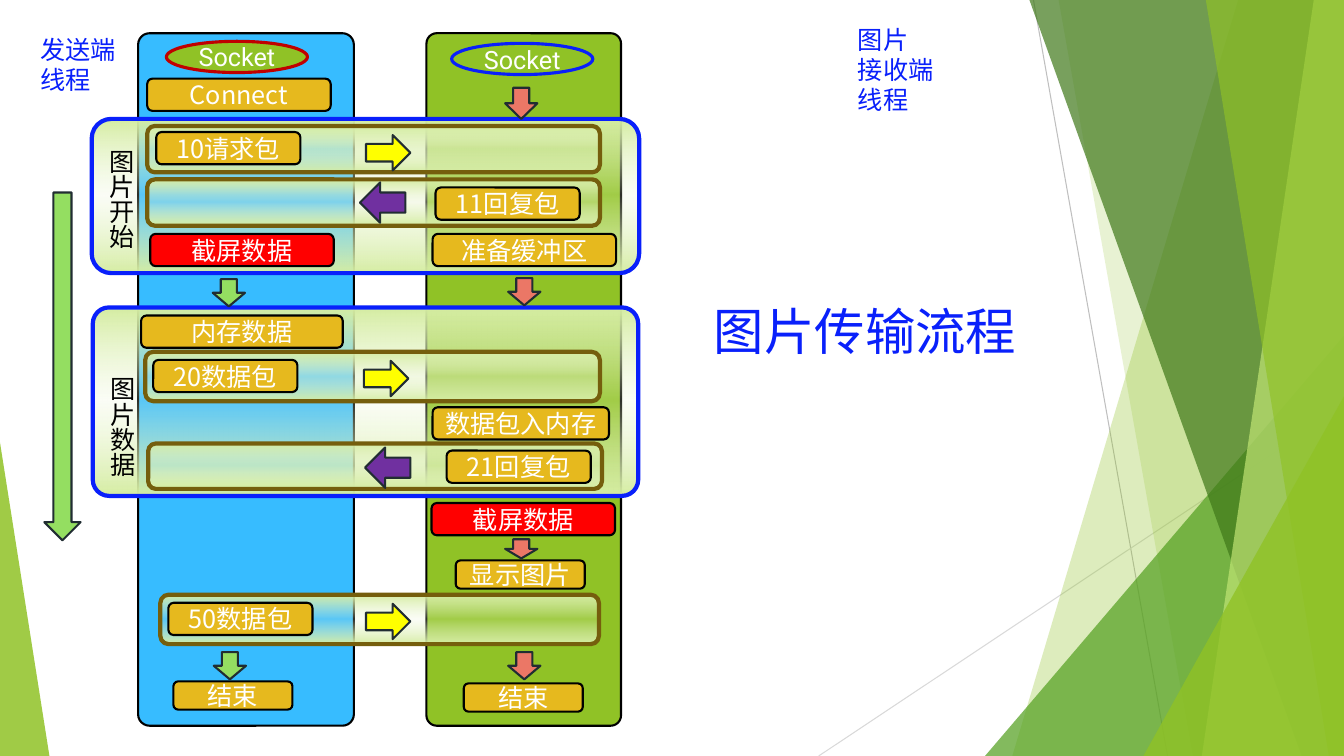
from dataclasses import dataclass

from lxml import etree
from pptx import Presentation
from pptx.dml.color import RGBColor
from pptx.enum.shapes import MSO_CONNECTOR, MSO_SHAPE
from pptx.enum.text import MSO_ANCHOR, MSO_AUTO_SIZE, PP_ALIGN
from pptx.oxml.ns import qn
from pptx.util import Inches, Pt

STRAIGHT = MSO_CONNECTOR.STRAIGHT
ROUNDED, OVAL = MSO_SHAPE.ROUNDED_RECTANGLE, MSO_SHAPE.OVAL
TRIANGLE = MSO_SHAPE.ISOSCELES_TRIANGLE
DOWN, LEFT, RIGHT = MSO_SHAPE.DOWN_ARROW, MSO_SHAPE.LEFT_ARROW, MSO_SHAPE.RIGHT_ARROW
TOP, MIDDLE = MSO_ANCHOR.TOP, MSO_ANCHOR.MIDDLE
ALIGN_LEFT, CENTER = PP_ALIGN.LEFT, PP_ALIGN.CENTER
NO_AUTOSIZE = MSO_AUTO_SIZE.NONE


@dataclass(frozen=True)
class Theme:
    """Colours, fonts and type sizes of the slide."""
    blue: str = "0920FB"
    sky: str = "37BCFF"
    green: str = "90C226"
    leaf: str = "54A021"
    forest: str = "3F7819"
    lime: str = "C0E474"
    gold: str = "E6B91E"
    red: str = "FF0000"
    crimson: str = "C00000"
    brown: str = "755E0D"
    yellow: str = "FFFF00"
    purple: str = "7030A0"
    mint: str = "94DE61"
    coral: str = "EB7766"
    slate: str = "212D32"
    black: str = "000000"
    white: str = "FFFFFF"
    grey: str = "BFBFBF"
    pale_grey: str = "D9D9D9"
    glass: tuple = ((0, "D5EDA2", 100), (49, "EAF6D1", 19), (100, "D5EDA2", 100))
    cjk: str = "Noto Sans CJK SC"
    latin: str = "Roboto"
    body: int = 18
    title: int = 36


THEME = Theme()


def paint(shape, color, opacity=100, line=None, width=1.5):
    """Give a shape a flat fill, an optional outline and no shadow."""
    shape.shadow.inherit = False
    shape.fill.solid()
    shape.fill.fore_color.rgb = RGBColor.from_string(color)
    if opacity < 100:
        paint_color = shape._element.spPr.find(".//" + qn("a:srgbClr"))
        etree.SubElement(paint_color, qn("a:alpha"), val=str(opacity * 1000))
    if line is None:
        shape.line.fill.background()
    else:
        shape.line.color.rgb = RGBColor.from_string(line)
        shape.line.width = Pt(width)


def write(shape, text, color, size=THEME.body, font=THEME.cjk, align=ALIGN_LEFT):
    """Write one paragraph and format it for both scripts."""
    para = shape.text_frame.paragraphs[0]
    para.text = text
    para.alignment = align
    para.font.size = Pt(size)
    para.font.name = font
    para.font.color.rgb = RGBColor.from_string(color)
    defaults = para._p.pPr.find(qn("a:defRPr"))
    etree.SubElement(defaults, qn("a:ea"), typeface=font)


def add_block(page, kind, place, color, line=None, width=1.5, opacity=100, adjust=None):
    """Add a painted preset shape at (left, top, width, height)."""
    shape = page.shapes.add_shape(kind, *map(Inches, place))
    if adjust is not None:
        shape.adjustments[0] = adjust
    paint(shape, color, opacity, line, width)
    return shape


def add_glass(page, place, line, adjust=None):
    """Add a rounded frame with a translucent vertical gradient."""
    frame = add_block(page, ROUNDED, place, THEME.lime, line, 3, adjust=adjust)
    frame.fill.gradient()
    gradient = frame._element.spPr.find(qn("a:gradFill"))
    gradient.find(qn("a:lin")).set("ang", "5400000")
    stops = gradient.find(qn("a:gsLst"))
    for stop in list(stops):
        stops.remove(stop)
    for position, color, opacity in THEME.glass:
        stop = etree.SubElement(stops, qn("a:gs"), pos=str(position * 1000))
        tint = etree.SubElement(stop, qn("a:srgbClr"), val=color)
        etree.SubElement(tint, qn("a:alpha"), val=str(opacity * 1000))


def add_chip(page, text, place, color=THEME.gold, kind=ROUNDED, line=THEME.black,
             width=1.5, font=THEME.cjk):
    """Add a step of the flow with centred white text."""
    chip = add_block(page, kind, place, color, line, width)
    frame = chip.text_frame
    frame.margin_left = frame.margin_right = frame.margin_top = frame.margin_bottom = 0
    frame.word_wrap = kind != OVAL
    frame.vertical_anchor = MIDDLE
    write(chip, text, THEME.white, font=font, align=CENTER)


def add_label(page, text, place, color, vertical=False):
    """Add a free label, optionally set in vertical columns."""
    box = page.shapes.add_textbox(*map(Inches, place))
    box.text_frame.word_wrap = True
    box.text_frame.vertical_anchor = TOP
    if vertical:
        box.text_frame._txBody.bodyPr.set("vert", "eaVert")
    write(box, text, color)


def add_line(page, start, end, color):
    """Add a thin decorative line."""
    line = page.shapes.add_connector(STRAIGHT, *map(Inches, start + end))
    line.line.color.rgb = RGBColor.from_string(color)
    line.line.width = Pt(0.75)
    etree.SubElement(line._element.spPr, qn("a:effectLst"))


def add_facet(page, top_x, bottom_x, color, opacity):
    """Add a facet that reaches from a slanted edge to the right border."""
    corners = [(13.33, 0), (13.33, 7.5), (bottom_x, 7.5)]
    builder = page.shapes.build_freeform(Inches(top_x), 0)
    builder.add_line_segments([(Inches(x), Inches(y)) for x, y in corners], close=True)
    paint(builder.convert_to_shape(), color, opacity)


def add_backdrop(page):
    """Draw the green facets at both borders."""
    add_line(page, (10.25, 0), (11.58, 7.5), THEME.grey)
    add_line(page, (13.33, 4.03), (8.12, 7.5), THEME.pale_grey)
    add_facet(page, 12.28, 10.04, THEME.green, 30)
    add_facet(page, 10.5, 11.83, THEME.green, 20)
    add_block(page, TRIANGLE, (9.77, 3.33, 3.56, 4.17), THEME.leaf, opacity=72, adjust=1)
    add_facet(page, 10.21, 12.91, THEME.forest, 70)
    add_facet(page, 13.03, 11.92, THEME.lime, 70)
    add_facet(page, 11.96, 13.18, THEME.green, 65)
    add_block(page, TRIANGLE, (11.34, 3.93, 1.99, 3.57), THEME.green, opacity=80, adjust=1)
    add_block(page, TRIANGLE, (0, 4.39, 0.49, 3.11), THEME.green, opacity=85, adjust=0)


def add_title(page):
    """Place and format the slide title."""
    title = page.shapes.title
    title.left, title.top, title.width, title.height = map(Inches, (6.98, 2.91, 3.31, 0.73))
    title.text_frame.auto_size = NO_AUTOSIZE
    title.text_frame.vertical_anchor = MIDDLE
    write(title, "图片传输流程", THEME.blue, THEME.title)


def add_frames(page):
    """Draw the two thread lanes, the phase panels and the packet strips."""
    add_block(page, ROUNDED, (1.37, 0.33, 2.14, 6.87), THEME.sky, THEME.black, adjust=0.053)
    add_block(page, ROUNDED, (4.23, 0.33, 1.93, 6.87), THEME.green, THEME.black, adjust=0.053)
    add_glass(page, (0.91, 1.18, 5.43, 1.53), THEME.blue, 0.127)
    add_glass(page, (0.92, 3.05, 5.41, 1.87), THEME.blue, 0.086)
    for strip in ((1.46, 1.25, 4.49, 0.46), (1.46, 1.78, 4.49, 0.46), (1.44, 3.49, 4.51, 0.49),
                  (1.47, 4.4, 4.5, 0.45), (1.59, 5.9, 4.35, 0.49)):
        add_glass(page, strip, THEME.brown)


def add_steps(page):
    """Add the sockets and the steps of both threads."""
    for left, top, line in ((1.65, 0.41, THEME.crimson), (4.48, 0.43, THEME.blue)):
        add_chip(page, "Socket", (left, top, 1.4, 0.31), THEME.green, OVAL, line, 2.25, THEME.latin)
    for text, left, top, width in (
            ("Connect", 1.46, 0.78, 1.82), ("10请求包", 1.55, 1.31, 1.43),
            ("11回复包", 4.32, 1.86, 1.43), ("准备缓冲区", 4.29, 2.32, 1.82),
            ("内存数据", 1.4, 3.13, 2), ("20数据包", 1.52, 3.57, 1.43),
            ("数据包入内存", 4.29, 4.04, 1.75), ("21回复包", 4.43, 4.47, 1.43),
            ("50数据包", 1.67, 5.98, 1.43)):
        add_chip(page, text, (left, top, width, 0.32))
    for left, top in ((1.49, 2.32), (4.28, 4.99)):
        add_chip(page, "截屏数据", (left, top, 1.82, 0.32), THEME.red)
    for text, left, top, width in (("显示图片", 4.52, 5.56, 1.28), ("结束", 1.72, 6.76, 1.18),
                                   ("结束", 4.6, 6.78, 1.18)):
        add_chip(page, text, (left, top, width, 0.28))


def add_arrows(page):
    """Add the block arrows for sequence and for packets."""
    add_block(page, DOWN, (0.44, 1.91, 0.36, 3.45), THEME.mint, THEME.slate)
    for left, top, height, color in (
            (2.11, 2.77, 0.27, THEME.mint), (2.12, 6.47, 0.27, THEME.mint),
            (5.01, 0.87, 0.31, THEME.coral), (5.04, 2.76, 0.27, THEME.coral),
            (5.01, 5.35, 0.19, THEME.coral), (5.04, 6.47, 0.27, THEME.coral)):
        add_block(page, DOWN, (left, top, 0.32, height), color, THEME.slate)
    for left, top in ((3.63, 1.34), (3.61, 3.58), (3.63, 5.99)):
        add_block(page, RIGHT, (left, top, 0.44, 0.35), THEME.yellow, THEME.slate)
    for left, top in ((3.57, 1.81), (3.62, 4.44)):
        add_block(page, LEFT, (left, top, 0.45, 0.4), THEME.purple, THEME.slate)


def main():
    """Build the slide and save the deck."""
    deck = Presentation()
    deck.slide_width, deck.slide_height = Inches(13.33), Inches(7.5)
    page = deck.slides.add_slide(deck.slide_layouts[5])
    add_backdrop(page)
    add_title(page)
    add_frames(page)
    add_label(page, "发送端\n线程", (0.3, 0.29, 1.07, 0.71), THEME.blue)
    add_label(page, "图片\n接收端\n线程", (8.41, 0.19, 1.07, 1.01), THEME.blue)
    add_label(page, "图片开始", (0.9, 1.38, 0.5, 1.2), THEME.black, vertical=True)
    add_label(page, "图片数据", (0.91, 3.64, 0.5, 1.2), THEME.black, vertical=True)
    add_steps(page)
    add_arrows(page)
    deck.save("out.pptx")


if __name__ == "__main__":
    main()
